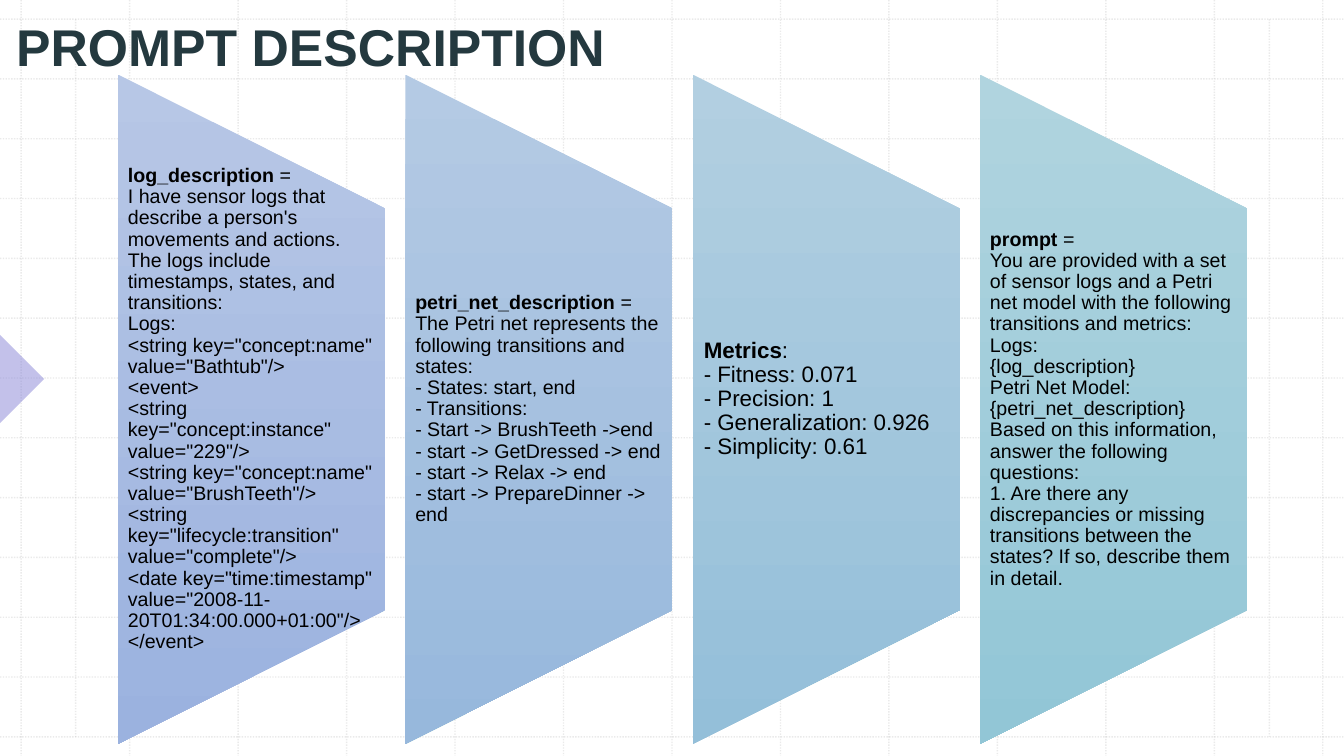
"""Build the prompt description slide with four funnel panels on a dotted grid."""
from lxml import etree
from pptx import Presentation
from pptx import util as u
from pptx.dml.color import RGBColor
from pptx.enum import dml, shapes, text
from pptx.oxml import ns

GRID_GREY = RGBColor(0xBC, 0xBC, 0xBC)
MARKER_VIOLET = RGBColor(0x88, 0x85, 0xD7)
TITLE_TEAL = RGBColor(0x24, 0x39, 0x3F)
BLACK = RGBColor(0, 0, 0)
FONT = "Arial"
WIDTH, HEIGHT = 13.33, 7.5
GRID_LEFT, GRID_RIGHT = 0.21, 13.12
GRID_TOP, GRID_BOTTOM = 0.19, 7.31
GRID_STEPS = 12
PANEL_LEFT, PANEL_PITCH = 1.17, 2.85
PANEL_WIDTH, PANEL_HEIGHT, PANEL_MIDDLE = 2.65, 6.64, 4.06
BODY_HEIGHT = 3.98

LOG_LINES = [
    " =",
    "I have sensor logs that describe a person's movements and actions. "
    "The logs include timestamps, states, and transitions:",
    "Logs:",
    '<string key="concept:name" value="Bathtub"/>',
    "<event>",
    '<string key="concept:instance" value="229"/>',
    '<string key="concept:name" value="BrushTeeth"/>',
    '<string key="lifecycle:transition" value="complete"/>',
    '<date key="time:timestamp" value="2008-11-20T01:34:00.000+01:00"/>',
    "</event>",
]
PETRI_LINES = [
    " =",
    "The Petri net represents the following transitions and states:",
    "- States: start, end",
    "- Transitions:",
    "- Start -> BrushTeeth ->end",
    "- start -> GetDressed -> end",
    "- start -> Relax -> end",
    "- start -> PrepareDinner -> end",
]
METRIC_LINES = [
    ":",
    "- Fitness: 0.071",
    "- Precision: 1",
    "- Generalization: 0.926",
    "- Simplicity: 0.61",
]
PROMPT_LINES = [
    " =",
    "You are provided with a set of sensor logs and a Petri net model "
    "with the following transitions and metrics:",
    "Logs:",
    "{log_description}",
    "Petri Net Model:",
    "{petri_net_description}",
    "Based on this information, answer the following questions:",
    "1. Are there any discrepancies or missing transitions between the states? "
    "If so, describe them in detail.",
]
PANELS = [
    ("log_description", LOG_LINES, 14, 0.1, 0,
     RGBColor(0xB7, 0xC7, 0xE6), RGBColor(0x9B, 0xB2, 0xDF)),
    ("petri_net_description", PETRI_LINES, 14, 0.1, 0,
     RGBColor(0xB4, 0xCA, 0xE4), RGBColor(0x97, 0xB8, 0xDC)),
    ("Metrics", METRIC_LINES, 16, 0.11, 0.2,
     RGBColor(0xB2, 0xCF, 0xE1), RGBColor(0x94, 0xBF, 0xD9)),
    ("prompt", PROMPT_LINES, 14, 0.1, 0,
     RGBColor(0xB0, 0xD4, 0xDF), RGBColor(0x92, 0xC6, 0xD6)),
]


def set_alpha(element, percent):
    """Make the solid colour inside an element partly transparent."""
    colour = element.find(".//" + ns.qn("a:srgbClr"))
    etree.SubElement(colour, ns.qn("a:alpha")).set("val", str(percent * 1000))


def add_grid_line(slide, x1, y1, x2, y2):
    """Draw one faint dotted grid line."""
    grid_line = slide.shapes.add_connector(
        shapes.MSO_CONNECTOR.STRAIGHT,
        u.Inches(x1), u.Inches(y1), u.Inches(x2), u.Inches(y2))
    grid_line.line.color.rgb = GRID_GREY
    grid_line.line.width = u.Pt(1)
    grid_line.line.dash_style = dml.MSO_LINE.ROUND_DOT
    properties = grid_line._element.spPr
    set_alpha(properties, 30)
    etree.SubElement(properties, ns.qn("a:effectLst"))


def add_grid(slide):
    """Draw the evenly spaced grid and its two inner side lines."""
    for step in range(GRID_STEPS + 1):
        x = GRID_LEFT + step * (GRID_RIGHT - GRID_LEFT) / GRID_STEPS
        y = GRID_TOP + step * (GRID_BOTTOM - GRID_TOP) / GRID_STEPS
        add_grid_line(slide, x, 0, x, HEIGHT)
        add_grid_line(slide, 0, y, WIDTH, y)
    for x in (0.75, 12.59):
        add_grid_line(slide, x, GRID_TOP, x, GRID_BOTTOM)


def add_rotated(slide, preset, left, top, width, height, angle):
    """Add a rotated preset shape without line or shadow."""
    rotated = slide.shapes.add_shape(
        preset, u.Inches(left), u.Inches(top), u.Inches(width), u.Inches(height))
    rotated.rotation = angle
    rotated.line.fill.background()
    rotated.shadow.inherit = False
    return rotated


def add_edge_marker(slide):
    """Add the translucent arrowhead at the left edge."""
    marker = add_rotated(slide, shapes.MSO_SHAPE.RIGHT_TRIANGLE,
                         -0.31, 3.45, 0.62, 0.62, 225)
    marker.fill.solid()
    marker.fill.fore_color.rgb = MARKER_VIOLET
    set_alpha(marker._element.spPr, 50)


def style_run(run, size, colour, bold):
    """Set the font of one run."""
    run.font.name = FONT
    run.font.size = u.Pt(size)
    run.font.color.rgb = colour
    run.font.bold = bold


def place_title(slide):
    """Fill the title placeholder and bring it in front of the grid."""
    title = slide.shapes.title
    title.left, title.top = u.Inches(0.06), u.Inches(0.29)
    title.width, title.height = u.Inches(7.67), u.Inches(0.27)
    frame = title.text_frame
    frame.text = "PROMPT DESCRIPTION"
    frame.word_wrap = True
    frame.auto_size = text.MSO_AUTO_SIZE.NONE
    frame.vertical_anchor = text.MSO_ANCHOR.MIDDLE
    frame.margin_top, frame.margin_bottom = u.Inches(0.06), 0
    heading = frame.paragraphs[0]
    heading.alignment = text.PP_ALIGN.LEFT
    style_run(heading.runs[0], 36.9, TITLE_TEAL, True)
    slide.shapes._spTree.append(title._element)


def add_funnel(slide, left, top_colour, bottom_colour):
    """Add one panel that narrows to the right, shaded from top to bottom."""
    funnel = add_rotated(
        slide, shapes.MSO_SHAPE.FLOWCHART_MANUAL_OPERATION,
        left + (PANEL_WIDTH - PANEL_HEIGHT) / 2, PANEL_MIDDLE - PANEL_WIDTH / 2,
        PANEL_HEIGHT, PANEL_WIDTH, 270)
    funnel.fill.gradient()
    funnel.fill.gradient_angle = 270
    for stop, colour in zip(funnel.fill.gradient_stops, (top_colour, bottom_colour)):
        stop.color.rgb = colour
    funnel._element.spPr.find(ns.qn("a:gradFill")).set("rotWithShape", "0")


def add_panel_text(slide, left, name, lines, size, side_margin, bottom_margin):
    """Add a bold name followed by its lines in a single paragraph."""
    body = slide.shapes.add_textbox(
        u.Inches(left), u.Inches(PANEL_MIDDLE - BODY_HEIGHT / 2),
        u.Inches(PANEL_WIDTH), u.Inches(BODY_HEIGHT))
    frame = body.text_frame
    frame.word_wrap = True
    frame.vertical_anchor = text.MSO_ANCHOR.MIDDLE
    frame.margin_left = frame.margin_right = u.Inches(side_margin)
    frame.margin_top, frame.margin_bottom = 0, u.Inches(bottom_margin)
    paragraph = frame.paragraphs[0]
    paragraph.text = name + "\n".join(lines)
    paragraph.line_spacing = 0.9
    first = paragraph.runs[0]
    first.text = name
    suffix = paragraph.add_run()
    suffix.text = lines[0]
    first._r.addnext(suffix._r)
    for run in paragraph.runs:
        style_run(run, size, BLACK, run.text == name)


def main():
    """Build and save the slide."""
    deck = Presentation()
    deck.slide_width, deck.slide_height = u.Inches(WIDTH), u.Inches(HEIGHT)
    slide = deck.slides.add_slide(deck.slide_layouts[5])
    add_grid(slide)
    add_edge_marker(slide)
    place_title(slide)
    for index, (name, lines, size, side, bottom, light, dark) in enumerate(PANELS):
        left = PANEL_LEFT + index * PANEL_PITCH
        add_funnel(slide, left, light, dark)
        add_panel_text(slide, left, name, lines, size, side, bottom)
    deck.save("out.pptx")


if __name__ == "__main__":
    main()
